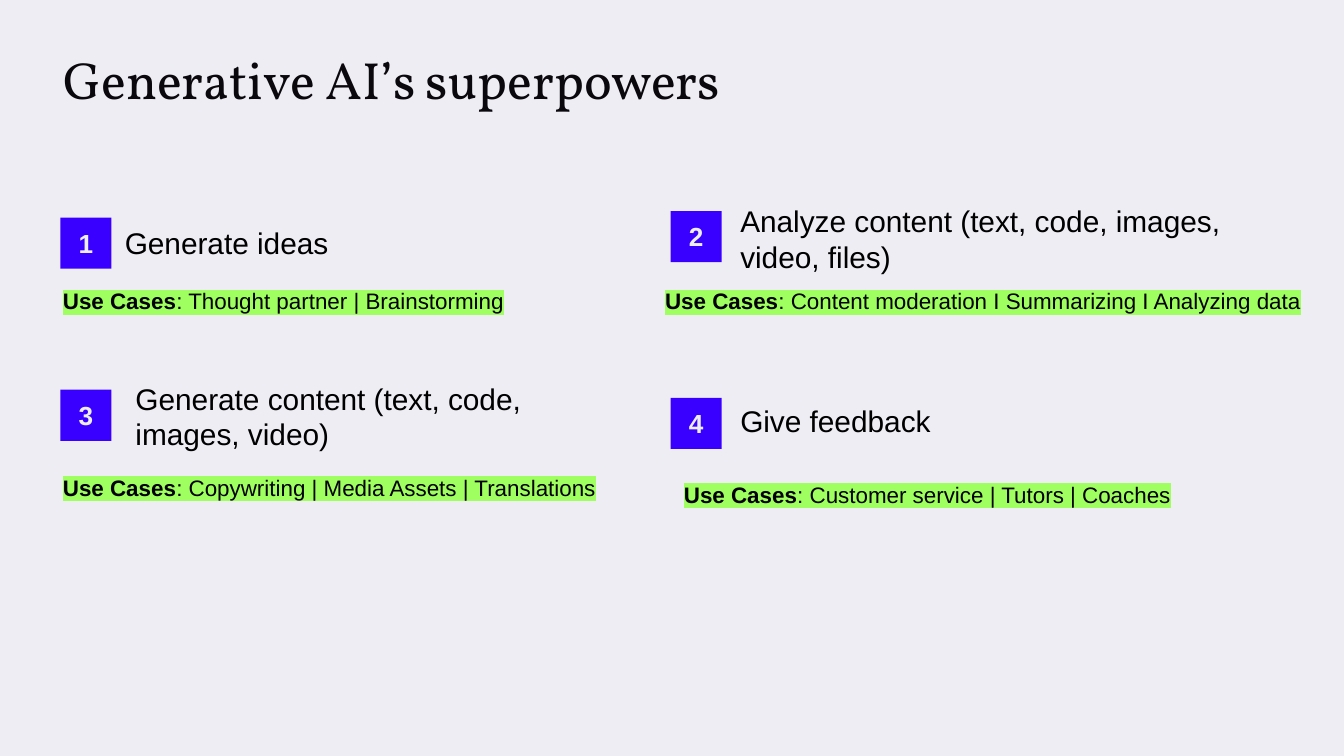
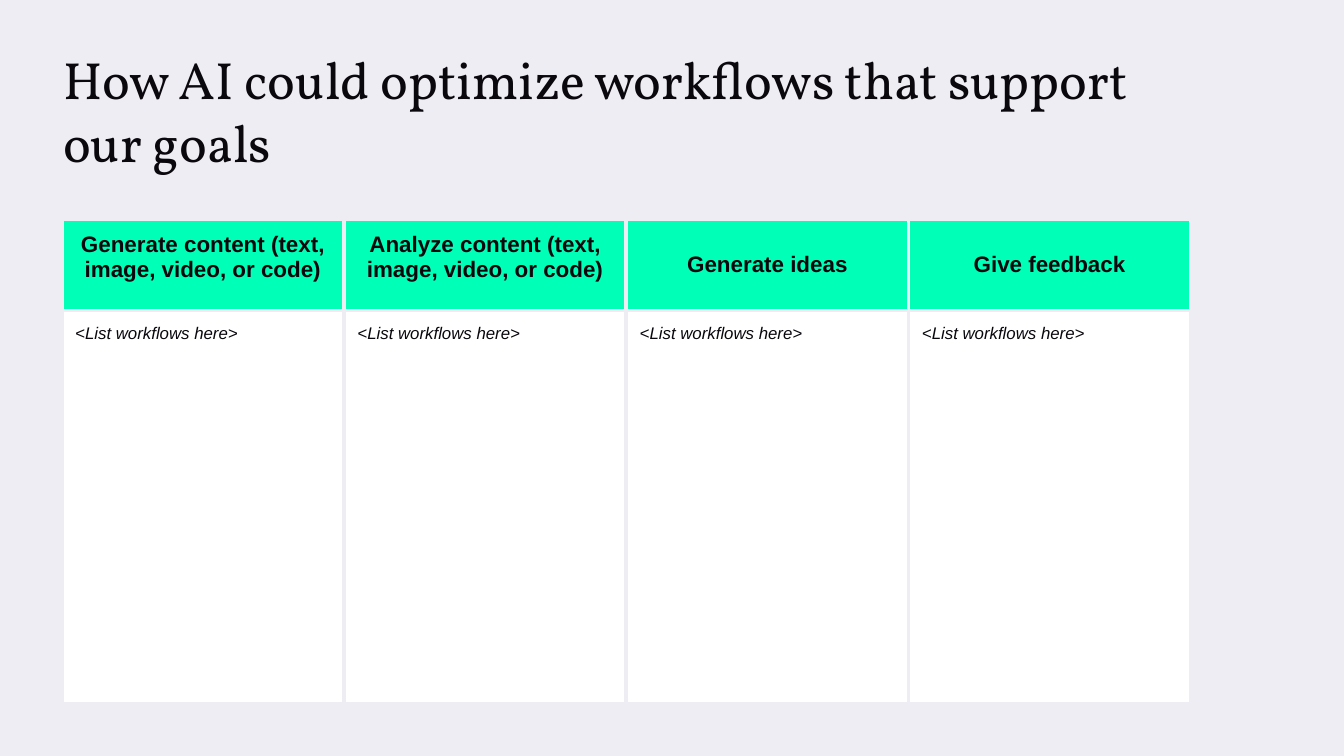
"""Two slides on generative AI: four superpowers with use cases, and a workflow table."""
from lxml import etree
from pptx import Presentation
from pptx.dml.color import RGBColor
from pptx.enum import shapes, text
from pptx.oxml import ns
from pptx.util import Inches, Pt

COLORS = {
    "background": "EEEDF4",
    "ink": "0A070D",
    "black": "000000",
    "badge": "3900FF",
    "highlight": "9FFF61",
    "header": "00FFB7",
    "body": "FFFFFF",
}
BODY_FONT = "Arial"
TITLE_FONT = "Vollkorn"
INSET = 0.1
TITLE_BOX = (0.37, 0.25, 8.75, 0.63)

SUPERPOWERS_TITLE = "Generative AI’s superpowers"
BADGE_SIZE = 0.38
USE_CASE_HEIGHT = 0.4
SUPERPOWERS = [
    {"name": "Generate ideas", "badge": (0.45, 1.62), "label": (0.83, 1.57, 3.99, 0.47),
     "cases": "Thought partner | Brainstorming", "cases_at": (0.37, 2.04, 3.9)},
    {"name": "Analyze content (text, code, images, video, files)",
     "badge": (4.99, 1.57), "label": (5.41, 1.41, 4.34, 0.74),
     "cases": "Content moderation I Summarizing I Analyzing data", "cases_at": (4.85, 2.04, 9.18)},
    {"name": "Generate content (text, code, images, video)",
     "badge": (0.45, 2.9), "label": (0.91, 2.73, 3.8, 0.74),
     "cases": "Copywriting | Media Assets | Translations", "cases_at": (0.37, 3.43, 4.26)},
    {"name": "Give feedback", "badge": (4.99, 2.96), "label": (5.41, 2.9, 4.03, 0.47),
     "cases": "Customer service | Tutors | Coaches", "cases_at": (4.99, 3.48, 9.18)},
]

WORKFLOWS_TITLE = "How AI could optimize workflows that support our goals"
TOP, MIDDLE = text.MSO_ANCHOR.TOP, text.MSO_ANCHOR.MIDDLE
WORKFLOWS = [
    ("Generate content (text, image, video, or code)", TOP),
    ("Analyze content (text, image, video, or code)", TOP),
    ("Generate ideas", MIDDLE),
    ("Give feedback", MIDDLE),
]
WORKFLOW_PROMPT = "<List workflows here>"
TABLE_AT = (0.46, 1.63)
COLUMN_WIDTH = 2.1
ROW_HEIGHTS = (0.68, 2.93)
BORDER_WIDTH = 2.25


def rgb(color):
    return RGBColor.from_string(COLORS[color])


def inches(lengths):
    return [Inches(length) for length in lengths]


def set_insets(holder):
    holder.margin_left = holder.margin_right = Inches(INSET)
    holder.margin_top = holder.margin_bottom = Inches(INSET)


def add_run(paragraph, words, size, color, face=BODY_FONT, bold=False, italic=False, highlight=None):
    run = paragraph.add_run()
    run.text = words
    font = run.font
    font.size, font.bold, font.italic = Pt(size), bold, italic
    font.color.rgb = rgb(color)
    if highlight:
        mark = etree.SubElement(run._r.get_or_add_rPr(), ns.qn("a:highlight"))
        etree.SubElement(mark, ns.qn("a:srgbClr"), val=COLORS[highlight])
    font.name = face


def add_titled_slide(prs, title_words):
    slide = prs.slides.add_slide(prs.slide_layouts[5])
    title = slide.shapes.title
    title.left, title.top, title.width, title.height = inches(TITLE_BOX)
    frame = title.text_frame
    set_insets(frame)
    frame.word_wrap = True
    frame.auto_size = text.MSO_AUTO_SIZE.NONE
    frame.vertical_anchor = TOP
    paragraph = frame.paragraphs[0]
    paragraph.alignment = text.PP_ALIGN.LEFT
    add_run(paragraph, title_words, 28, "ink", TITLE_FONT)
    return slide


def add_text_line(slide, box):
    frame = slide.shapes.add_textbox(*inches(box)).text_frame
    set_insets(frame)
    frame.word_wrap = True
    frame.auto_size = text.MSO_AUTO_SIZE.SHAPE_TO_FIT_TEXT
    paragraph = frame.paragraphs[0]
    paragraph.space_after = Pt(10)
    return paragraph


def add_badge(slide, corner, number):
    badge = slide.shapes.add_shape(
        shapes.MSO_SHAPE.RECTANGLE, *inches((*corner, BADGE_SIZE, BADGE_SIZE)))
    badge.shadow.inherit = False
    badge.fill.solid()
    badge.fill.fore_color.rgb = rgb("badge")
    badge.line.fill.background()
    frame = badge.text_frame
    set_insets(frame)
    frame.vertical_anchor = MIDDLE
    paragraph = frame.paragraphs[0]
    paragraph.alignment = text.PP_ALIGN.CENTER
    add_run(paragraph, str(number), 14, "background", bold=True)


def add_superpowers(prs):
    slide = add_titled_slide(prs, SUPERPOWERS_TITLE)
    for number, power in enumerate(SUPERPOWERS, 1):
        add_badge(slide, power["badge"], number)
        add_run(add_text_line(slide, power["label"]), power["name"], 16, "black")
        use_cases = add_text_line(slide, (*power["cases_at"], USE_CASE_HEIGHT))
        add_run(use_cases, "Use Cases", 12, "black", bold=True, highlight="highlight")
        add_run(use_cases, ": " + power["cases"], 12, "black", highlight="highlight")


def style_cell(cell, fill, anchor):
    set_insets(cell)
    cell.vertical_anchor = anchor
    for side in ("lnL", "lnR", "lnT", "lnB"):
        border = etree.SubElement(
            cell._tc.get_or_add_tcPr(), ns.qn("a:" + side), w=str(Pt(BORDER_WIDTH)))
        border_fill = etree.SubElement(border, ns.qn("a:solidFill"))
        etree.SubElement(border_fill, ns.qn("a:srgbClr"), val=COLORS["background"])
    cell.fill.solid()
    cell.fill.fore_color.rgb = rgb(fill)


def add_workflows(prs):
    slide = add_titled_slide(prs, WORKFLOWS_TITLE)
    size = (COLUMN_WIDTH * len(WORKFLOWS), sum(ROW_HEIGHTS))
    workflows = slide.shapes.add_table(
        len(ROW_HEIGHTS), len(WORKFLOWS), *inches(TABLE_AT + size)).table
    for row, height in zip(workflows.rows, ROW_HEIGHTS):
        row.height = Inches(height)
    for index, (heading, anchor) in enumerate(WORKFLOWS):
        workflows.columns[index].width = Inches(COLUMN_WIDTH)
        header, body = workflows.cell(0, index), workflows.cell(1, index)
        style_cell(header, "header", anchor)
        style_cell(body, "body", TOP)
        paragraph = header.text_frame.paragraphs[0]
        paragraph.alignment = text.PP_ALIGN.CENTER
        add_run(paragraph, heading, 12, "ink", bold=True)
        add_run(body.text_frame.paragraphs[0], WORKFLOW_PROMPT, 9, "ink", italic=True)


def main():
    prs = Presentation()
    prs.slide_width = Inches(10)
    prs.slide_height = prs.slide_width * 9 // 16
    backdrop = prs.slide_master.background.fill
    backdrop.solid()
    backdrop.fore_color.rgb = rgb("background")
    add_superpowers(prs)
    add_workflows(prs)
    prs.save("out.pptx")


if __name__ == "__main__":
    main()
